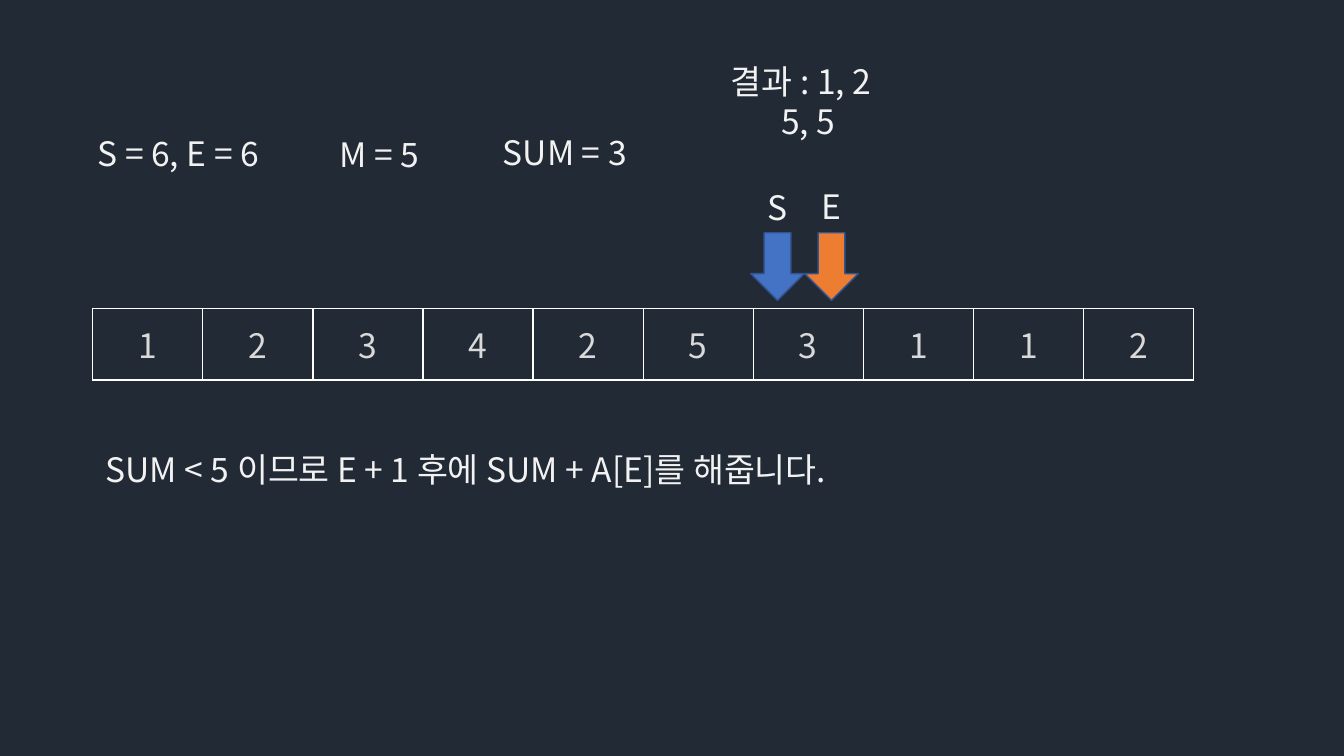
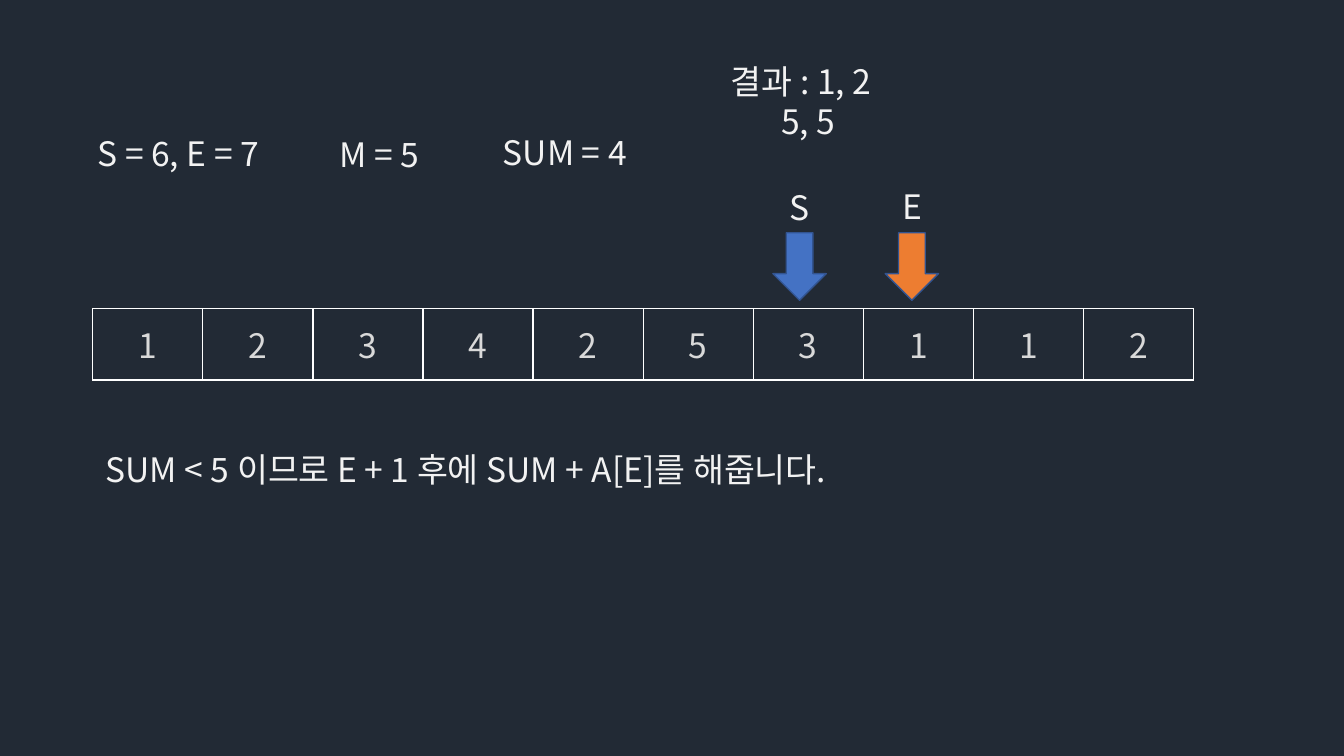
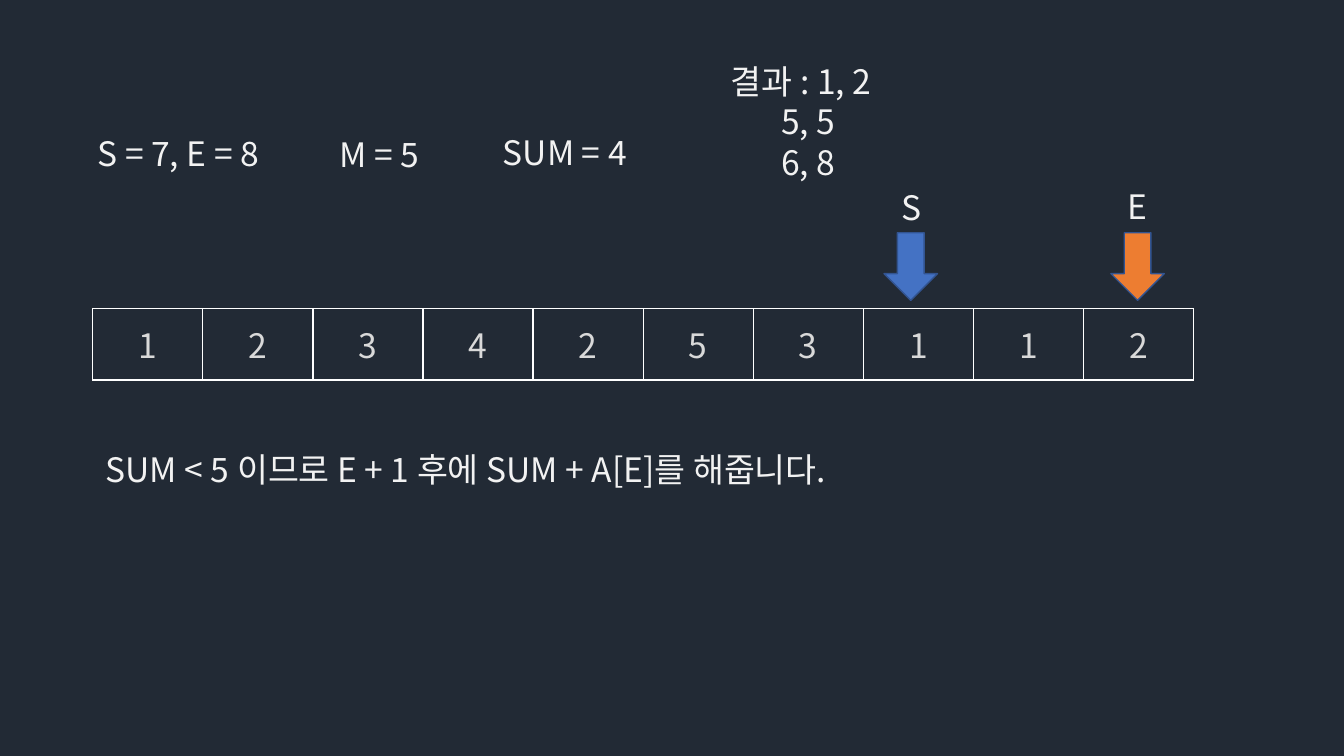
"""Build three slides that step a two-pointer window along an array."""
from dataclasses import dataclass

from lxml import etree
from pptx import Presentation
from pptx.dml.color import RGBColor
from pptx.enum.shapes import MSO_SHAPE
from pptx.enum.text import MSO_ANCHOR, PP_ALIGN
from pptx.oxml.ns import qn
from pptx.util import Inches, Pt

LEFT, CENTER = PP_ALIGN.LEFT, PP_ALIGN.CENTER
MIDDLE = MSO_ANCHOR.MIDDLE
DOWN_ARROW = MSO_SHAPE.DOWN_ARROW
BLANK_LAYOUT = 6


@dataclass(frozen=True)
class Theme:
    """Colours and type of the deck."""
    background: str = "222A35"
    text: str = "F2F2F2"
    cell_text: str = "D9D9D9"
    border: str = "FFFFFF"
    start: str = "4472C4"
    end: str = "ED7D31"
    outline: str = "325491"
    font: str = "Noto Sans CJK KR"
    size: int = 24
    line_pitch: int = 29
    line_width: int = 1


THEME = Theme()
WIDTH, HEIGHT = 13.33, 7.5
ARRAY = (1, 2, 3, 4, 2, 5, 3, 1, 1, 2)
ARRAY_LEFT, ARRAY_TOP, ARRAY_WIDTH, ARRAY_HEIGHT = 0.92, 3.06, 10.92, 0.71
COLUMN = ARRAY_WIDTH / len(ARRAY)
ROW = 0.4
INSET = 0.1
ARROW_WIDTH, ARROW_HEIGHT, ARROW_TOP = 0.53, 0.67, 2.31
LABEL_WIDTH = 0.39
POINTERS = (("S", THEME.start, 1.8), ("E", THEME.end, 1.79))

STEPS = (
    {"range": "S = 6, E = 6", "sum": "SUM = 3", "columns": (6.22, 6.71),
     "results": ("결과 : 1, 2", "\t5, 5")},
    {"range": "S = 6, E = 7", "sum": "SUM = 4", "columns": (6.42, 7.44),
     "results": ("결과 : 1, 2", "\t5, 5")},
    {"range": "S = 7, E = 8", "sum": "SUM = 4", "columns": (7.43, 9.49),
     "results": ("결과 : 1, 2", "\t5, 5", "\t6, 8")},
)
TARGET = "M = 5"
NOTE = "SUM < 5 이므로 E + 1 후에 SUM + A[E]를 해줍니다."


def color(value):
    """Return a colour from its hex value."""
    return RGBColor.from_string(value)


def write(frame, lines, fill=THEME.text, align=LEFT, pitch=None):
    """Write lines of text into a frame with one format."""
    for index, line in enumerate(lines):
        para = frame.add_paragraph() if index else frame.paragraphs[0]
        para.alignment = align
        if pitch:
            para.line_spacing = Pt(pitch)
        span = para.add_run()
        span.text = line
        span.font.name = THEME.font
        span.font.size = Pt(THEME.size)
        span.font.color.rgb = color(fill)
        east_asian = etree.SubElement(span.font._element, qn("a:ea"))
        east_asian.set("typeface", THEME.font)


def add_text(page, left, top, width, *lines, wrap=True, align=LEFT):
    """Add a text box that is as tall as its lines."""
    height = ROW * len(lines) + INSET
    box = page.shapes.add_textbox(*map(Inches, (left, top, width, height)))
    box.text_frame.word_wrap = wrap
    write(box.text_frame, lines, align=align, pitch=THEME.line_pitch)


def add_pointer(page, column, label, fill, label_top):
    """Add a labelled arrow centred at a position counted in columns."""
    middle = ARRAY_LEFT + column * COLUMN
    arrow = page.shapes.add_shape(
        DOWN_ARROW, Inches(middle - ARROW_WIDTH / 2), Inches(ARROW_TOP),
        Inches(ARROW_WIDTH), Inches(ARROW_HEIGHT))
    arrow.shadow.inherit = False
    arrow.fill.solid()
    arrow.fill.fore_color.rgb = color(fill)
    arrow.line.color.rgb = color(THEME.outline)
    arrow.line.width = Pt(THEME.line_width)
    add_text(page, middle - LABEL_WIDTH / 2, label_top, LABEL_WIDTH, label,
             wrap=False, align=CENTER)


def add_borders(cell):
    """Draw a line on each side of a table cell."""
    properties = cell._tc.get_or_add_tcPr()
    for index, side in enumerate(("a:lnL", "a:lnR", "a:lnT", "a:lnB")):
        line = etree.Element(qn(side), w=str(Pt(THEME.line_width)))
        fill = etree.SubElement(line, qn("a:solidFill"))
        etree.SubElement(fill, qn("a:srgbClr"), val=THEME.border)
        properties.insert(index, line)


def add_array(page):
    """Add the array as a table of one row."""
    table = page.shapes.add_table(1, len(ARRAY), *map(
        Inches, (ARRAY_LEFT, ARRAY_TOP, ARRAY_WIDTH, ARRAY_HEIGHT))).table
    table.first_row = table.horz_banding = False
    for index, value in enumerate(ARRAY):
        table.columns[index].width = Inches(COLUMN)
        cell = table.cell(0, index)
        cell.fill.background()
        cell.vertical_anchor = MIDDLE
        write(cell.text_frame, [str(value)], fill=THEME.cell_text, align=CENTER)
        add_borders(cell)


def add_step(deck, step):
    """Add the slide of one step."""
    page = deck.slides.add_slide(deck.slide_layouts[BLANK_LAYOUT])
    add_text(page, 0.87, 1.27, 2.63, step["range"])
    for column, pointer in zip(step["columns"], POINTERS):
        add_pointer(page, column, *pointer)
    add_text(page, 4.89, 1.26, 1.74, step["sum"])
    add_text(page, 3.27, 1.28, 1.74, TARGET)
    add_text(page, 7.15, 0.55, 4.69, *step["results"])
    add_array(page)
    add_text(page, 0.95, 4.4, 10.89, NOTE)


def main():
    """Build and save the deck."""
    deck = Presentation()
    deck.slide_width, deck.slide_height = Inches(WIDTH), Inches(HEIGHT)
    backdrop = deck.slide_master.background.fill
    backdrop.solid()
    backdrop.fore_color.rgb = color(THEME.background)
    for step in STEPS:
        add_step(deck, step)
    deck.save("out.pptx")


if __name__ == "__main__":
    main()
